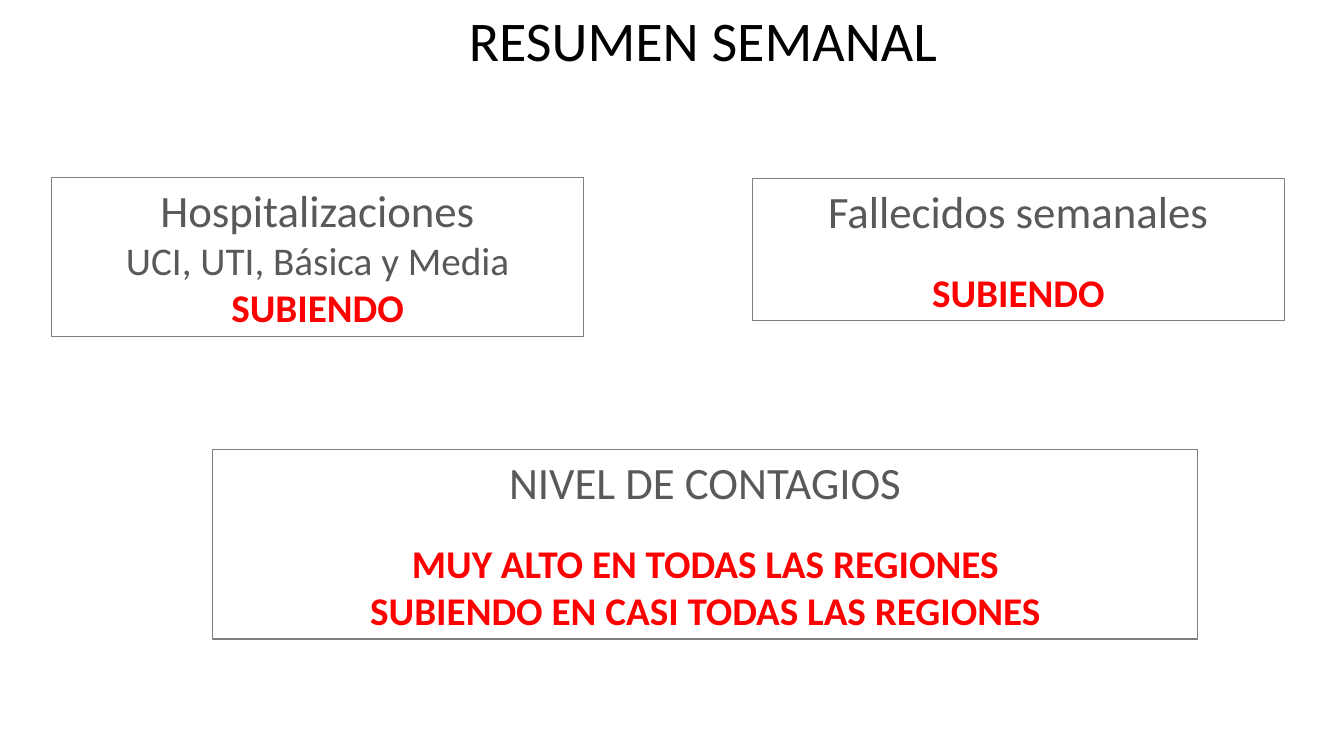
from dataclasses import dataclass

from pptx import Presentation
from pptx.dml.color import RGBColor
from pptx.enum.text import MSO_ANCHOR as Anchor, MSO_AUTO_SIZE as AutoSize, PP_ALIGN as Align
from pptx.util import Inches, Pt


@dataclass(frozen=True)
class Theme:
    font: str = "Calibri"
    title_color: RGBColor = RGBColor(0x00, 0x00, 0x00)
    text_color: RGBColor = RGBColor(0x59, 0x59, 0x59)
    alert_color: RGBColor = RGBColor(0xFF, 0x00, 0x00)
    border_color: RGBColor = RGBColor(0x80, 0x80, 0x80)
    title_size: int = 40
    heading_size: int = 32
    detail_size: int = 28
    border_width: float = 0.75
    status_gap: int = 22


class SummarySlide:
    def __init__(self, deck, theme):
        self.theme = theme
        self.slide = deck.slides.add_slide(deck.slide_layouts[5])

    def style(self, paragraph, size, color, bold=False):
        font = paragraph.font
        font.name = self.theme.font
        font.size = Pt(size)
        font.bold = bold
        font.color.rgb = color

    def title(self, text, left, top, width, height):
        heading = self.slide.shapes.title
        heading.left, heading.top = Inches(left), Inches(top)
        heading.width, heading.height = Inches(width), Inches(height)
        frame = heading.text_frame
        frame.text = text
        frame.word_wrap = False
        frame.auto_size = AutoSize.SHAPE_TO_FIT_TEXT
        frame.vertical_anchor = Anchor.TOP
        frame.paragraphs[0].alignment = Align.LEFT
        self.style(frame.paragraphs[0], self.theme.title_size, self.theme.title_color)

    def card(self, heading, statuses, left, top, width, height, detail=None):
        theme = self.theme
        card = self.slide.shapes.add_textbox(
            Inches(left), Inches(top), Inches(width), Inches(height))
        card.line.color.rgb = theme.border_color
        card.line.width = Pt(theme.border_width)
        frame = card.text_frame
        frame.word_wrap = True
        frame.auto_size = AutoSize.SHAPE_TO_FIT_TEXT

        lines = [(heading, theme.heading_size, theme.text_color, False)]
        if detail:
            lines.append((detail, theme.detail_size, theme.text_color, False))
        lines += [(status, theme.detail_size, theme.alert_color, True) for status in statuses]
        for index, (text, size, color, bold) in enumerate(lines):
            paragraph = frame.add_paragraph() if index else frame.paragraphs[0]
            paragraph.text = text
            paragraph.alignment = Align.CENTER
            if index == 1 and not detail:
                paragraph.space_before = Pt(theme.status_gap)
            self.style(paragraph, size, color, bold)


def main():
    deck = Presentation()
    deck.slide_width, deck.slide_height = Inches(13.33), Inches(7.5)
    summary = SummarySlide(deck, Theme())
    summary.title("RESUMEN SEMANAL", 4.55, 0, 4.89, 0.77)
    summary.card("Hospitalizaciones", ["SUBIENDO"], 0.51, 1.76, 5.28, 1.58,
                 detail="UCI, UTI, Básica y Media")
    summary.card("Fallecidos semanales", ["SUBIENDO"], 7.46, 1.77, 5.28, 1.41)
    summary.card("NIVEL DE CONTAGIOS",
                 ["MUY ALTO EN TODAS LAS REGIONES", "SUBIENDO EN CASI TODAS LAS REGIONES"],
                 2.11, 4.46, 9.77, 1.88)
    deck.save("out.pptx")


if __name__ == "__main__":
    main()
